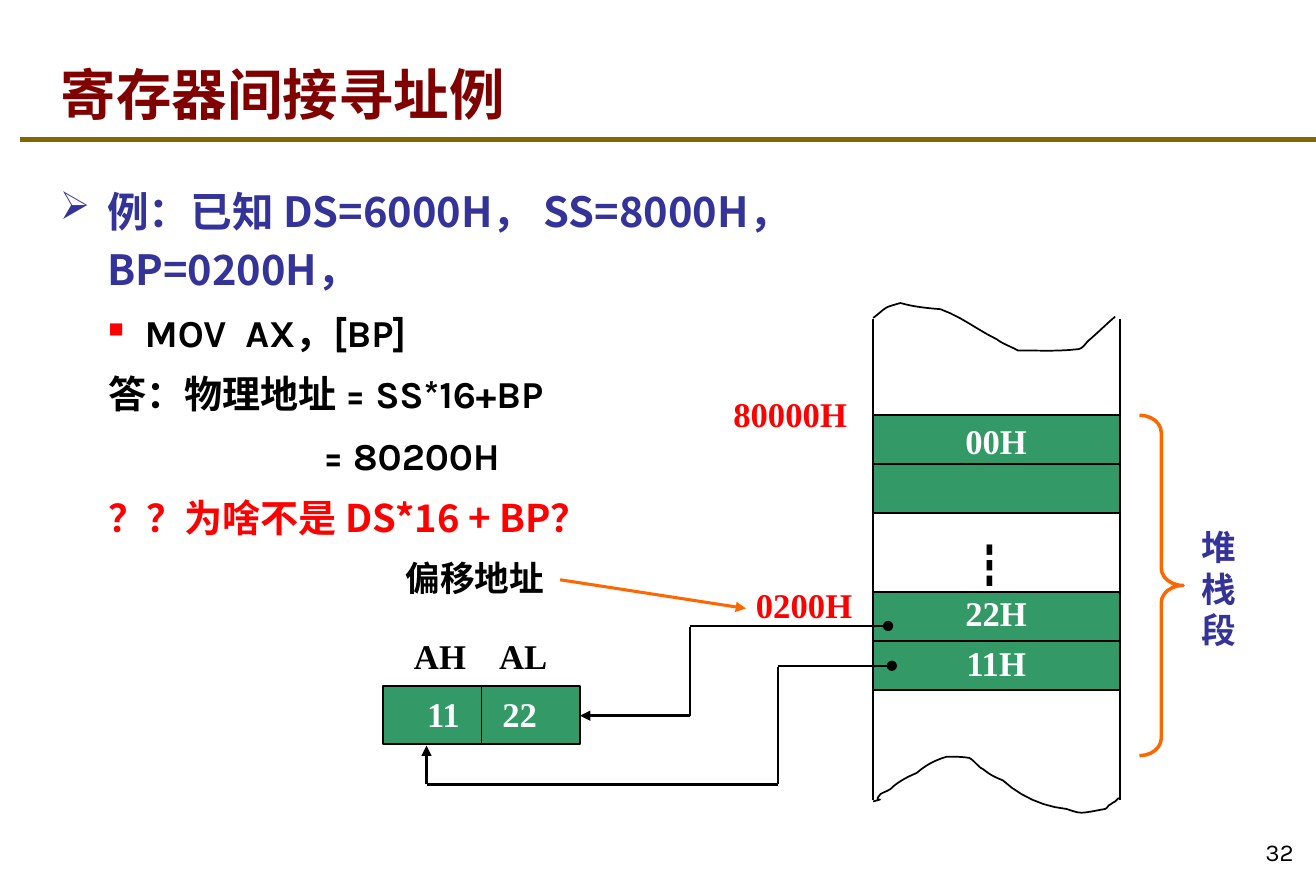
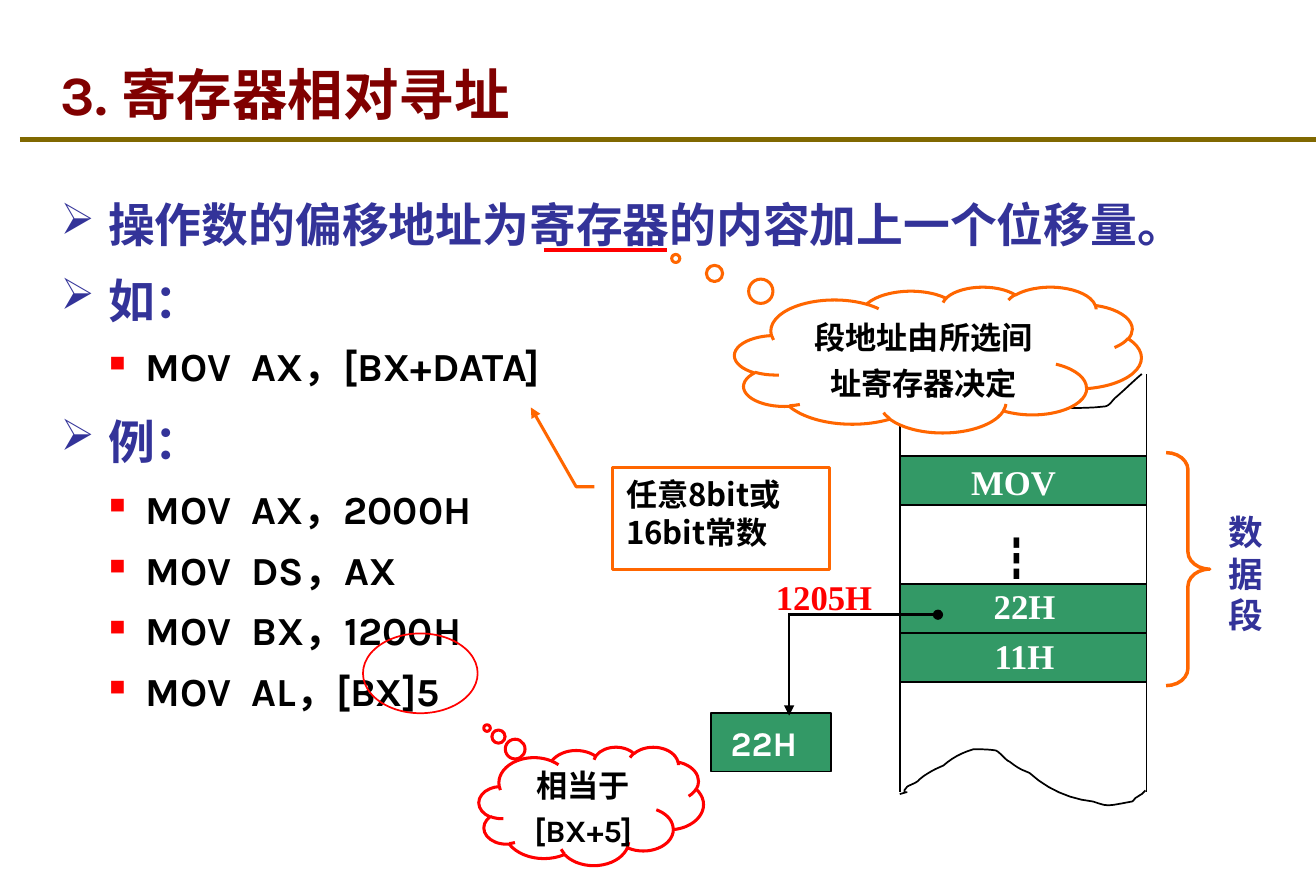
from lxml import etree
from pptx import Presentation
from pptx.dml.color import RGBColor
from pptx.enum import shapes, text
from pptx.oxml import ns
from pptx.util import Pt

C = {"title": "800000", "rule": "806800", "head": "333399", "cell": "339966",
     "red": "FF0000", "orange": "FF6600", "black": "000000", "white": "FFFFFF"}
CJK, KARLA, TIMES = "Noto Sans CJK SC", "Karla", "Times New Roman"
MSO = shapes.MSO_SHAPE
LEFT, CENTER, RIGHT = text.PP_ALIGN.LEFT, text.PP_ALIGN.CENTER, text.PP_ALIGN.RIGHT
TOP, MIDDLE, BOTTOM = text.MSO_ANCHOR.TOP, text.MSO_ANCHOR.MIDDLE, text.MSO_ANCHOR.BOTTOM


def add_run(p, content, font, size, color, bold=True):
    r = p.add_run()
    r.text = content
    r.font.size, r.font.bold = Pt(size), bold
    r.font.color.rgb = RGBColor.from_string(C[color])
    r.font.name = font
    etree.SubElement(r._r.get_or_add_rPr(), ns.qn("a:ea"), typeface=CJK)


def add_box(s, kind, x, y, w, h, runs=(), fill=None, line=None, width=1, adj=(),
            align=LEFT, anchor=TOP, inset=(7.9, 4.3), spacing=None):
    frame = Pt(x), Pt(y), Pt(w), Pt(h)
    if kind is None:
        sp = s.shapes.add_textbox(*frame)
    else:
        sp = s.shapes.add_shape(kind, *frame)
        sp.shadow.inherit = False
        sp.line.color.rgb = RGBColor.from_string(C[line])
        sp.line.width = Pt(width)
        if fill:
            sp.fill.solid()
            sp.fill.fore_color.rgb = RGBColor.from_string(C[fill])
        else:
            sp.fill.background()
        for i, value in enumerate(adj):
            sp.adjustments[i] = value
    tf = sp.text_frame
    tf.word_wrap, tf.vertical_anchor = True, anchor
    tf.margin_left = tf.margin_right = Pt(inset[0])
    tf.margin_top = tf.margin_bottom = Pt(inset[1])
    p = tf.paragraphs[0]
    p.alignment = align
    if spacing:
        p.line_spacing = Pt(spacing)
    for run in runs:
        add_run(p, *run)
    return sp


prs = Presentation()
prs.slide_width, prs.slide_height = Pt(759.6), Pt(510.5)
s1, s2 = [prs.slides.add_slide(prs.slide_layouts[6]) for _ in range(2)]

titles = [
    (s1, [("寄存器间接寻址例", CJK, 32, "title")]),
    (s2, [("3. ", KARLA, 32, "title"), ("寄存器相对寻址", CJK, 32, "title")]),
]
for s, runs in titles:
    add_box(s, None, 28, 20, 647.3, 56.9, runs, anchor=BOTTOM, inset=(7.2, 3.6), spacing=38.5)
add_box(s1, None, 707.8, 470.2, 46, 33.8, [("32", KARLA, 14, "black", False)],
        align=RIGHT, anchor=BOTTOM, inset=(7.2, 3.6))

HEAD = (27.4, -27.4, "➢", "head", 93)
ITEM = (49, -21, "■", "red", 55)
PLAIN = (28, 0, None, None, None)
RESULT = (152, 0, None, None, None)
bodies = [
    (s1, (27.4, 99, 534.2, 189.4), (24, 33.5), (22, 29.5), [
        (HEAD, "例：已知 DS=6000H， SS=8000H， BP=0200H，", CJK, "head", 6),
        (ITEM, "MOV  AX，[BP]", KARLA, "black", 6),
        (PLAIN, "答：物理地址 = SS*16+BP", KARLA, "black", 6),
        (RESULT, "= 80200H", KARLA, "black", 6),
        (PLAIN, "？？为啥不是 DS*16 + BP？", CJK, "red", 6),
    ]),
    (s2, (28, 104.5, 652.3, 267.8), (27, 37.5), (23, 35), [
        (HEAD, "操作数的偏移地址为寄存器的内容加上一个位移量。", CJK, "head", 6),
        (HEAD, "如：", CJK, "head", 1),
        (ITEM, "MOV  AX，[BX+DATA]", KARLA, "black", 8),
        (HEAD, "例：", CJK, "head", 2),
        (ITEM, "MOV  AX，2000H", KARLA, "black", 0),
        (ITEM, "MOV  DS，AX", KARLA, "black", 0),
        (ITEM, "MOV  BX，1200H", KARLA, "black", 0),
        (ITEM, "MOV  AL，[BX]5", KARLA, "black", 0),
    ]),
]
for s, frame, head, item, rows in bodies:
    tf = add_box(s, None, *frame, inset=(7.2, 3.6)).text_frame
    for i, (style, content, font, color, after) in enumerate(rows):
        p = tf.add_paragraph() if i else tf.paragraphs[0]
        margin, indent, bullet, bullet_color, percent = style
        pPr = p._p.get_or_add_pPr()
        pPr.set("marL", str(Pt(margin)))
        pPr.set("indent", str(Pt(indent)))
        if bullet:
            clr = etree.SubElement(pPr, ns.qn("a:buClr"))
            etree.SubElement(clr, ns.qn("a:srgbClr"), val=C[bullet_color])
            etree.SubElement(pPr, ns.qn("a:buSzPct"), val=str(percent * 1000))
            etree.SubElement(pPr, ns.qn("a:buChar"), char=bullet)
        size, pitch = head if style is HEAD else item
        p.line_spacing, p.space_after = Pt(pitch), Pt(after)
        add_run(p, content, font, size, color)

MEM_W, ROW_H = 142.4, 28.2
TOP_WAVE = [
    (0, 8.6), (1.4, 7.9), (6.5, 2.9), (8.6, 2.2), (10.8, 1.4), (15.8, 0), (15.8, 0),
    (23, 2.2), (31, 2.9), (38.9, 3.6), (51.1, 7.9), (60.5, 15.8), (71.3, 20.9),
    (74.9, 23.8), (79.9, 25.2), (83.5, 27.4), (95.8, 27.4), (107.3, 28.1), (118.8, 26.6),
    (121.7, 25.9), (123.1, 22.3), (125.3, 20.9), (130.3, 16.6), (134.6, 12.2), (139.7, 7.9)]
BOTTOM_WAVE = [
    (0, 25.9), (9.4, 23), (-1.4, 27.4), (4.3, 21.6), (6.5, 20.2), (10.1, 19.4), (11.5, 17.3),
    (15.8, 13.7), (20.2, 11.5), (25.2, 9.4), (30.2, 5), (35.3, 2.2), (42.5, 0),
    (46.8, 0), (51.1, 0), (55.4, 0.7), (57.6, 1.4), (61.2, 6.5), (63.4, 7.2),
    (69.1, 11.5), (69.8, 11.5), (74.9, 13.7), (85, 23), (98, 28.8), (111.6, 30.2),
    (120.2, 33.1), (118.8, 33.1), (133.9, 30.2), (134.6, 30.2), (135.4, 28.8), (136.1, 28.1),
    (137.5, 27.4), (138.2, 26.6), (139.7, 25.9), (140.4, 25.2), (141.8, 23.8), (141.8, 23.8)]

lines = [(s, 11.5, 80.6, 759.6, 80.6, "rule", 3, None) for s in (s1, s2)]
memories = [
    (s1, 504, 175, 437, 184.3, 462.2, 239.8, 196.6, "堆栈段", 299.5, 305.3,
     [(239.8, "00H", 36, -1.5), (268, "", 0, 0), (342, "22H", 36, -4.3), (370.2, "11H", 36, -3.7)]),
    (s2, 519.4, 208.1, 432.7, 216, 457.2, 261.4, 134.6, "数据段", 290.8, 301,
     [(263.5, "MOV", 30.7, -1.5), (337.3, "22H", 37, -4), (365.5, "11H", 37, -3.4)]),
]
for s, x, wave_top, wave_bottom, y1, y2, brace_y, brace_h, name, name_y, dots_y, cells in memories:
    for y, label, dx, dy in cells:
        add_box(s, MSO.RECTANGLE, x, y, MEM_W, ROW_H, fill="cell", line="black")
        if label:
            add_box(s, None, x + dx, y + dy, 70, 32.4, [(label, TIMES, 20, "white")], align=CENTER)
    for y, wave in ((wave_top, TOP_WAVE), (wave_bottom, BOTTOM_WAVE)):
        points = []
        for i in range(0, len(wave) - 1, 3):
            for t in [k / 6 for k in range(1, 7)]:
                weights = (1 - t) ** 3, 3 * t * (1 - t) ** 2, 3 * t * t * (1 - t), t ** 3
                px, py = [sum(f * q[axis] for f, q in zip(weights, wave[i:i + 4])) for axis in (0, 1)]
                points.append((Pt(x + px), Pt(y + py)))
        fb = s.shapes.build_freeform(Pt(x + wave[0][0]), Pt(y + wave[0][1]))
        fb.add_line_segments(points, close=False)
        sp = fb.convert_to_shape()
        sp.shadow.inherit = False
        sp.fill.background()
        sp.line.color.rgb = RGBColor.from_string(C["black"])
        sp.line.width = Pt(1)
    lines += [(s, side, y1, side, y2, "black", 1, None) for side in (x, x + MEM_W)]
    add_box(s, MSO.RIGHT_BRACE, x + 153.7, brace_y, 25.2, brace_h, line="orange", width=2, adj=(0.396, 0.5))
    add_box(s, None, x + 181.7, name_y, 38.2, 80.6, [(name, CJK, 20, "head")], spacing=24)
    add_box(s, None, x + 46, dots_y, 50.4, 41, [("┇", CJK, 27, "black", False)], spacing=33)

add_box(s1, MSO.RECTANGLE, 221, 396, 113.8, 33.8, fill="cell", line="black")
add_box(s2, MSO.RECTANGLE, 410.4, 411.8, 69.1, 33.8, fill="cell", line="black")
add_box(s2, None, 414.7, 413.3, 59.8, 31.7, [("22H", KARLA, 20, "white")], inset=(7.2, 3.6))
add_box(s1, None, 226.1, 317.5, 114.5, 32.4, [("偏移地址", CJK, 20, "black")], spacing=24)
labels = [
    (s1, 428.4, 332.6, 77.8, "0200H", "red", LEFT),
    (s1, 415.4, 222.5, 89.3, "80000H", "red", LEFT),
    (s2, 439.9, 328.3, 77.8, "1205H", "red", LEFT),
    (s1, 226, 362.2, 56, "AH", "black", CENTER),
    (s1, 274, 362.2, 56, "AL", "black", CENTER),
    (s1, 228, 396, 56, "11", "white", CENTER),
    (s1, 272, 396, 56, "22", "white", CENTER),
]
for s, x, y, w, content, color, align in labels:
    add_box(s, None, x, y, w, 32.4, [(content, TIMES, 20, color)], align=align)

lines += [
    (s1, 323.3, 334.8, 430.6, 351.4, "orange", 1.75, "triangle"),
    (s1, 278, 396, 278, 430, "black", 1, None),
    (s1, 398.5, 361.5, 512.6, 361.5, "black", 1.5, "oval"),
    (s1, 398.2, 362, 398.2, 413.3, "black", 1.5, None),
    (s1, 398.2, 413.3, 334.8, 413.3, "black", 1.5, "triangle"),
    (s1, 449, 384.5, 514.8, 384.5, "black", 1.5, "oval"),
    (s1, 449, 385, 449, 452.5, "black", 1.5, None),
    (s1, 449, 452.9, 246.2, 452.9, "black", 1.5, None),
    (s1, 246.2, 452.9, 246.2, 430.6, "black", 1.5, "triangle"),
    (s2, 455.5, 355, 455.5, 413.3, "black", 1.5, "triangle"),
    (s2, 455, 355, 541.4, 355, "black", 1.5, "oval"),
    (s2, 313.9, 144.5, 385.2, 144.5, "red", 2, None),
]
for s, x1, y1, x2, y2, color, width, end in lines:
    cn = s.shapes.add_connector(shapes.MSO_CONNECTOR.STRAIGHT, Pt(x1), Pt(y1), Pt(x2), Pt(y2))
    cn.line.color.rgb = RGBColor.from_string(C[color])
    cn.line.width = Pt(width)
    if end:
        etree.SubElement(cn.line._get_or_add_ln(), ns.qn("a:tailEnd"), type=end)
    etree.SubElement(cn._element.spPr, ns.qn("a:effectLst"))

callout = add_box(s2, MSO.LINE_CALLOUT_2, 353.5, 270, 125.3, 59, [("任意8bit或16bit常数", CJK, 18, "black")],
                  line="orange", width=1.75, adj=(0.188, -0.083, 0.188, -0.167, -0.589, -0.376), spacing=22)
etree.SubElement(callout.line._get_or_add_ln(), ns.qn("a:tailEnd"), type="triangle")
clouds = [
    ((424.1, 165.6, 234.7, 84.2), "orange", (-0.645, -0.694),
     [("段地址由所选间址寄存器决定", CJK, 18, "black")]),
    ((276.5, 431.3, 129.6, 68.4), "red", (-0.464, -0.659),
     [("相当于", CJK, 18, "black"), ("[BX+5]", KARLA, 18, "black")]),
]
for frame, color, adj, runs in clouds:
    add_box(s2, MSO.CLOUD_CALLOUT, *frame, runs, fill="white", line=color, width=1.75,
            adj=adj, align=CENTER, anchor=MIDDLE, spacing=26)
add_box(s2, MSO.OVAL, 209.5, 365.8, 66.2, 46.1, line="red")

prs.save("out.pptx")
